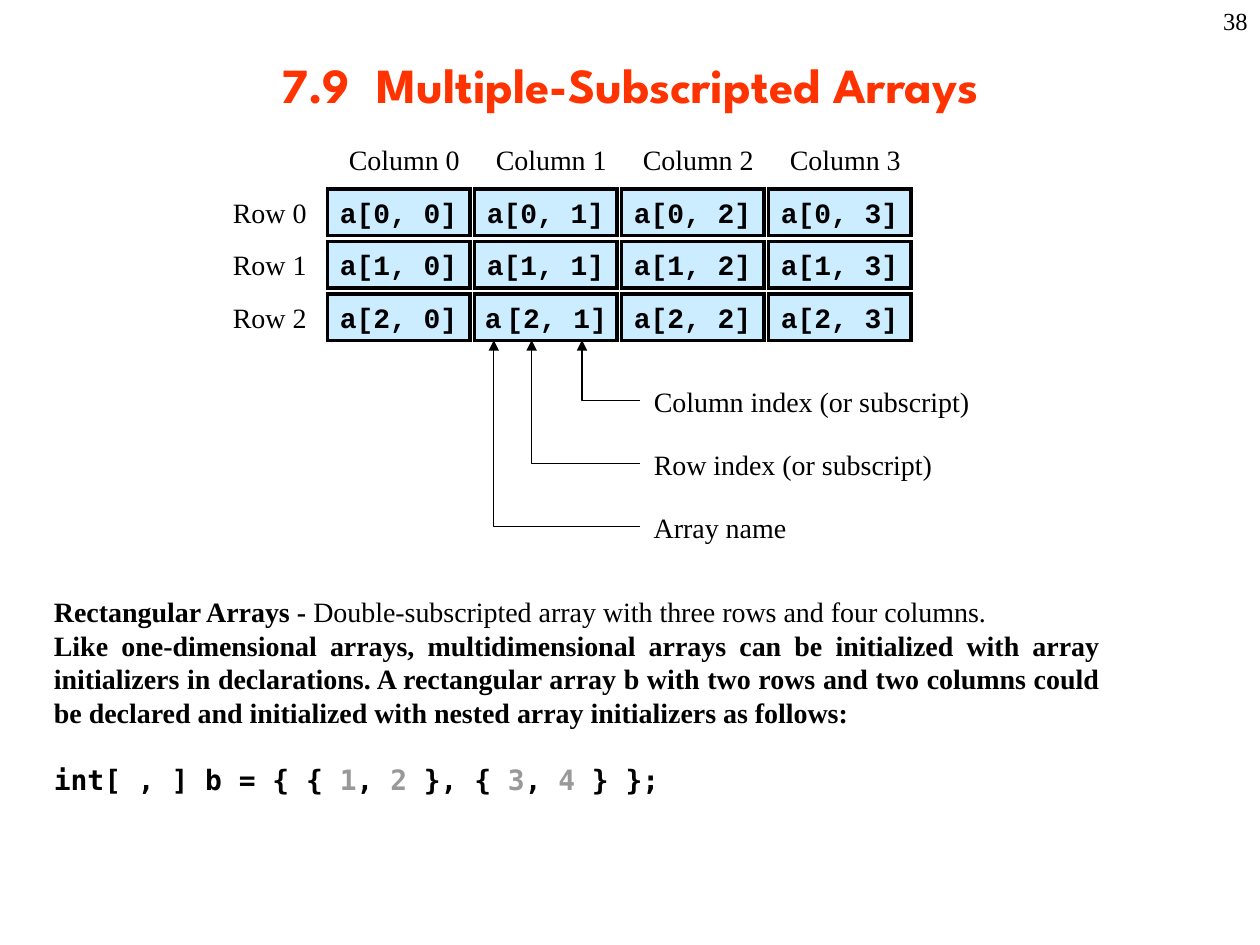
from dataclasses import dataclass

from lxml import etree
from pptx import Presentation
from pptx.dml.color import RGBColor
from pptx.enum.shapes import MSO_CONNECTOR as CONN, MSO_SHAPE as SHAPE
from pptx.enum.text import MSO_ANCHOR as ANCHOR, MSO_AUTO_SIZE as FIT, PP_ALIGN as ALIGN
from pptx.oxml.ns import qn
from pptx.util import Inches, Pt


@dataclass(frozen=True)
class Theme:
    ink: str = "000000"
    title: str = "FF3300"
    cell: str = "CCECFF"
    number: str = "999999"
    serif: str = "Times New Roman"
    mono: str = "Courier New"
    code: str = "DejaVu Sans Mono"
    heading: str = "League Spartan"
    title_size: int = 28
    body_size: int = 16
    page_size: int = 14
    border: float = 2
    arrow: float = 0.75


class SlideBuilder:
    def __init__(self, slide, theme):
        self.slide = slide
        self.theme = theme

    def style(self, p, font=None, size=None, color=None, bold=None):
        f = p.font
        f.name = font or self.theme.serif
        f.size = Pt(size or self.theme.body_size)
        f.bold = bold
        f.color.rgb = RGBColor.from_string(color or self.theme.ink)

    def text(self, x, y, w, h, text="", align=ALIGN.LEFT, wrap=False,
             anchor=ANCHOR.TOP, **font):
        s = self.slide.shapes.add_textbox(Inches(x), Inches(y), Inches(w), Inches(h))
        tf = s.text_frame
        tf.word_wrap = wrap
        tf.auto_size = FIT.NONE if wrap else FIT.SHAPE_TO_FIT_TEXT
        tf.vertical_anchor = anchor
        p = tf.paragraphs[0]
        p.text = text
        p.alignment = align
        self.style(p, **font)
        return tf

    def cell(self, x, y, w, h, text):
        s = self.slide.shapes.add_shape(SHAPE.RECTANGLE, Inches(x), Inches(y),
                                        Inches(w), Inches(h))
        s.shadow.inherit = False
        s.fill.solid()
        s.fill.fore_color.rgb = RGBColor.from_string(self.theme.cell)
        s.line.color.rgb = RGBColor.from_string(self.theme.ink)
        s.line.width = Pt(self.theme.border)
        etree.SubElement(s._element.spPr.find(qn("a:ln")), qn("a:miter"), lim="800000")
        if text:
            tf = s.text_frame
            tf.word_wrap = False
            tf.vertical_anchor = ANCHOR.TOP
            p = tf.paragraphs[0]
            p.text = text
            p.alignment = ALIGN.LEFT
            self.style(p, font=self.theme.mono, bold=True)

    def elbow_arrow(self, x1, y1, x2, y2):
        s = self.slide.shapes.add_connector(CONN.ELBOW, Inches(x1), Inches(y1),
                                            Inches(x2), Inches(y2))
        s.line.color.rgb = RGBColor.from_string(self.theme.ink)
        s.line.width = Pt(self.theme.arrow)
        sp_pr = s._element.spPr
        sp_pr.find(qn("a:prstGeom")).set("prst", "bentConnector2")  # one corner
        etree.SubElement(sp_pr.find(qn("a:ln")), qn("a:tailEnd"), type="triangle")
        etree.SubElement(sp_pr, qn("a:effectLst"))

    def runs(self, p, parts):
        for text, attrs in parts:
            r = p.add_run()
            r.text = text
            if "bold" in attrs:
                r.font.bold = attrs["bold"]
            if "color" in attrs:
                r.font.color.rgb = RGBColor.from_string(attrs["color"])


def main():
    prs = Presentation()
    prs.slide_width, prs.slide_height = Inches(10), Inches(7.5)
    theme = Theme()
    b = SlideBuilder(prs.slides.add_slide(prs.slide_layouts[6]), theme)

    # Title and page number
    b.text(0.75, 0.08, 8.5, 1.17, "7.9  Multiple-Subscripted Arrays", ALIGN.CENTER,
           True, ANCHOR.MIDDLE, font=theme.heading, size=theme.title_size,
           color=theme.title, bold=True)
    b.text(7.92, 0, 2.08, 0.5, "38", ALIGN.RIGHT, True, size=theme.page_size)

    # Array grid with row and column labels
    left, top, cell_w, cell_h = 2.6, 1.5, 1.13, 0.37
    col_step, row_step = 7 / 6, 5 / 12
    split_cell = (2, 1)
    for col in range(4):
        b.text(left + 0.07 + col * col_step, 1.08, 1.09, cell_h, f"Column {col}")
    for row in range(3):
        y = top + row * row_step
        b.text(1.75, y, 0.8, cell_h, f"Row {row}")
        for col in range(4):
            label = "" if (row, col) == split_cell else f"a[{row}, {col}]"
            b.cell(left + col * col_step, y, cell_w, cell_h, label)

    # Parts of the cell that the arrows explain
    for x, w, part in [(3.75, 0.34, "a"), (3.92, 0.61, "[2,"), (4.32, 0.61, " 1]")]:
        b.text(x, 2.34, w, cell_h, part, font=theme.mono, bold=True)

    # Arrows and their labels
    callouts = [(4.62, 2.72, "Column index (or subscript)"),
                (4.22, 2.42, "Row index (or subscript)"),
                (3.92, 1.26, "Array name")]
    for i, (tip_x, w, label) in enumerate(callouts):
        y = 3 + i * 0.5
        b.text(5.09, y, w, cell_h, label)
        b.elbow_arrow(5.08, y + 0.18, tip_x, 2.7)

    # Explanation
    tf = b.text(0.33, 4.67, 8.5, 1.97, wrap=True)
    b.runs(tf.paragraphs[0], [
        ("Rectangular Arrays - ", {"bold": True}),
        ("Double-subscripted array with three rows and four columns.", {})])
    p = tf.add_paragraph()
    p.text = ("Like one-dimensional arrays, multidimensional arrays can be initialized "
              "with array initializers in declarations. A rectangular array b with two "
              "rows and two columns could be declared and initialized with nested array "
              "initializers as follows:")
    p.alignment = ALIGN.JUSTIFY
    b.style(p, bold=True)

    # Declaration, with its numbers in grey
    p = tf.add_paragraph()
    p.space_before = Pt(19)
    b.style(p, font=theme.code, bold=True)
    tokens = ["int[ , ] b = { { ", "1", ", ", "2", " }, { ", "3", ", ", "4", " } };"]
    b.runs(p, [(t, {"color": theme.number if t.isdigit() else theme.ink})
               for t in tokens])

    prs.save("out.pptx")


if __name__ == "__main__":
    main()
